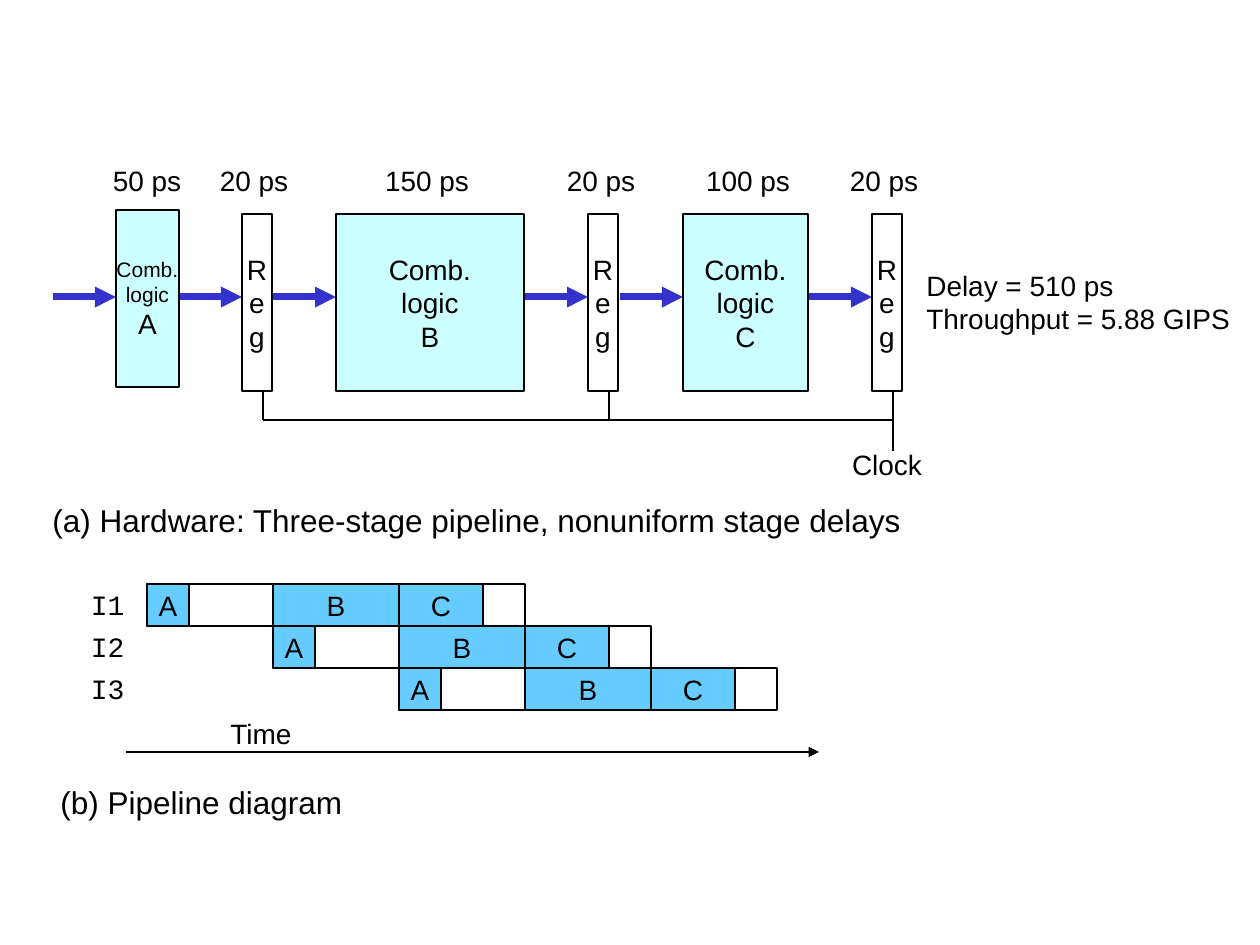
from lxml import etree
from pptx import Presentation
from pptx import util as u
from pptx.dml.color import RGBColor
from pptx.enum import shapes, text
from pptx.oxml import ns

SCALE = 914400 / 126
COLORS = {"ink": "000000", "paper": "FFFFFF", "logic": "CCFFFF",
          "busy": "66CCFF", "flow": "3333CC"}
LEFT, CENTER, RIGHT = (text.PP_ALIGN.LEFT, text.PP_ALIGN.CENTER,
                       text.PP_ALIGN.RIGHT)
TOP, HEIGHT, FLOW_Y, ARROW = 214, 177, 297, 63
REG_WIDTH, CLOCK_Y = 30, 420
CYCLE, ROW = 126, 42


def px(value):
    return u.Emu(round(value * SCALE))


def color(name):
    return RGBColor.from_string(COLORS[name])


def write(frame, lines, sizes=(16,), align=CENTER, font="Arial"):
    """Fill a frame with lines; the last size serves all remaining lines."""
    for i, line in enumerate(lines):
        paragraph = frame.paragraphs[0] if i == 0 else frame.add_paragraph()
        paragraph.alignment = align
        run = paragraph.add_run()
        run.text = line
        style = {"name": font, "size": u.Pt(sizes[min(i, len(sizes) - 1)])}
        for key, value in style.items():
            setattr(run.font, key, value)
        run.font.color.rgb = color("ink")


def add_label(slide, box, lines, size=16, align=CENTER):
    frame = slide.shapes.add_textbox(*map(px, box)).text_frame
    frame.word_wrap = False
    frame.auto_size = text.MSO_AUTO_SIZE.SHAPE_TO_FIT_TEXT
    write(frame, lines, (size,), align)


def add_box(parent, box, fill=None, border=1, lines=(), **style):
    rect = parent.shapes.add_shape(shapes.MSO_SHAPE.RECTANGLE, *map(px, box))
    rect.shadow.inherit = False
    if fill:
        rect.fill.solid()
        rect.fill.fore_color.rgb = color(fill)
    else:
        rect.fill.background()
    if border:
        rect.line.width = u.Pt(border)
        rect.line.color.rgb = color("ink")
    else:
        rect.line.fill.background()
    rect.text_frame.word_wrap = False
    rect.text_frame.vertical_anchor = text.MSO_ANCHOR.MIDDLE
    write(rect.text_frame, lines, **style)


def add_line(slide, start, end, stroke="ink", width=1, arrow=False):
    line = slide.shapes.add_connector(
        shapes.MSO_CONNECTOR.STRAIGHT, *map(px, start + end))
    line.line.width = u.Pt(width)
    line.line.color.rgb = color(stroke)
    if arrow:
        etree.SubElement(line.line._get_or_add_ln(), ns.qn("a:tailEnd"),
                         type="triangle")
    etree.SubElement(line._element.spPr, ns.qn("a:effectLst"))


def add_flow(slide, x):
    add_line(slide, (x, FLOW_Y), (x + ARROW, FLOW_Y), "flow", 4, True)


def add_stage(slide, name, x, width, top, sizes, reg_x, clock_end):
    """One block of logic, the register after it and its clock tap."""
    add_flow(slide, x - ARROW)
    add_flow(slide, reg_x - ARROW)
    add_box(slide, (x, top, width, HEIGHT), "logic",
            lines=("Comb.", "logic", name), sizes=sizes)
    add_box(slide, (reg_x, TOP, REG_WIDTH, HEIGHT), "paper", lines="Reg")
    tap = reg_x + 21
    add_line(slide, (tap, TOP + HEIGHT), (tap, clock_end))


def add_hardware(slide):
    add_stage(slide, "A", 116, 63, 210, (12, 12, 16), 242, CLOCK_Y)
    add_stage(slide, "B", 336, 188, TOP, (16,), 588, CLOCK_Y)
    add_stage(slide, "C", 683, 125, TOP, (16,), 872, 451)
    add_line(slide, (263, CLOCK_Y), (893, CLOCK_Y))
    delays = ((95, 104, "50 ps"), (205, 98, "20 ps"), (346, 162, "150 ps"),
              (552, 98, "20 ps"), (691, 114, "100 ps"), (835, 98, "20 ps"))
    for x, width, delay in delays:
        add_label(slide, (x, 157, width, 46), (delay,))
    add_label(slide, (837, 441, 100, 46), ("Clock",))
    add_label(slide, (914, 262, 334, 80),
              ("Delay = 510 ps", "Throughput = 5.88 GIPS"), align=LEFT)
    add_label(slide, (40, 495, 880, 51),
              ("(a) Hardware: Three-stage pipeline, nonuniform stage delays",),
              18, LEFT)


def add_instruction(slide, index):
    y = 584 + index * ROW
    start = 147 + index * CYCLE
    add_box(slide, (21, y - 1, 116, ROW), "paper", border=0,
            lines=(f"I{index + 1}",), align=RIGHT, font="Courier New")
    row = slide.shapes.add_group_shape()
    for cycle, (stage, width) in enumerate((("A", 42), ("B", 126), ("C", 84))):
        add_box(row, (start + cycle * CYCLE, y, width, ROW), "busy", 0.75,
                (stage,))
    for cycle in (0, 2):
        add_box(row, (start + cycle * CYCLE, y, CYCLE, ROW), border=0.75)


def add_pipeline_diagram(slide):
    add_line(slide, (126, 752), (819, 752), arrow=True)
    for index in range(3):
        add_instruction(slide, index)
    add_label(slide, (218, 710, 92, 46), ("Time",), align=LEFT)
    add_label(slide, (48, 777, 314, 51), ("(b) Pipeline diagram",), 18, LEFT)


def main():
    deck = Presentation()
    deck.slide_width, deck.slide_height = px(1260), px(945)
    slide = deck.slides.add_slide(deck.slide_layouts[6])
    add_hardware(slide)
    add_pipeline_diagram(slide)
    deck.save("out.pptx")


if __name__ == "__main__":
    main()
